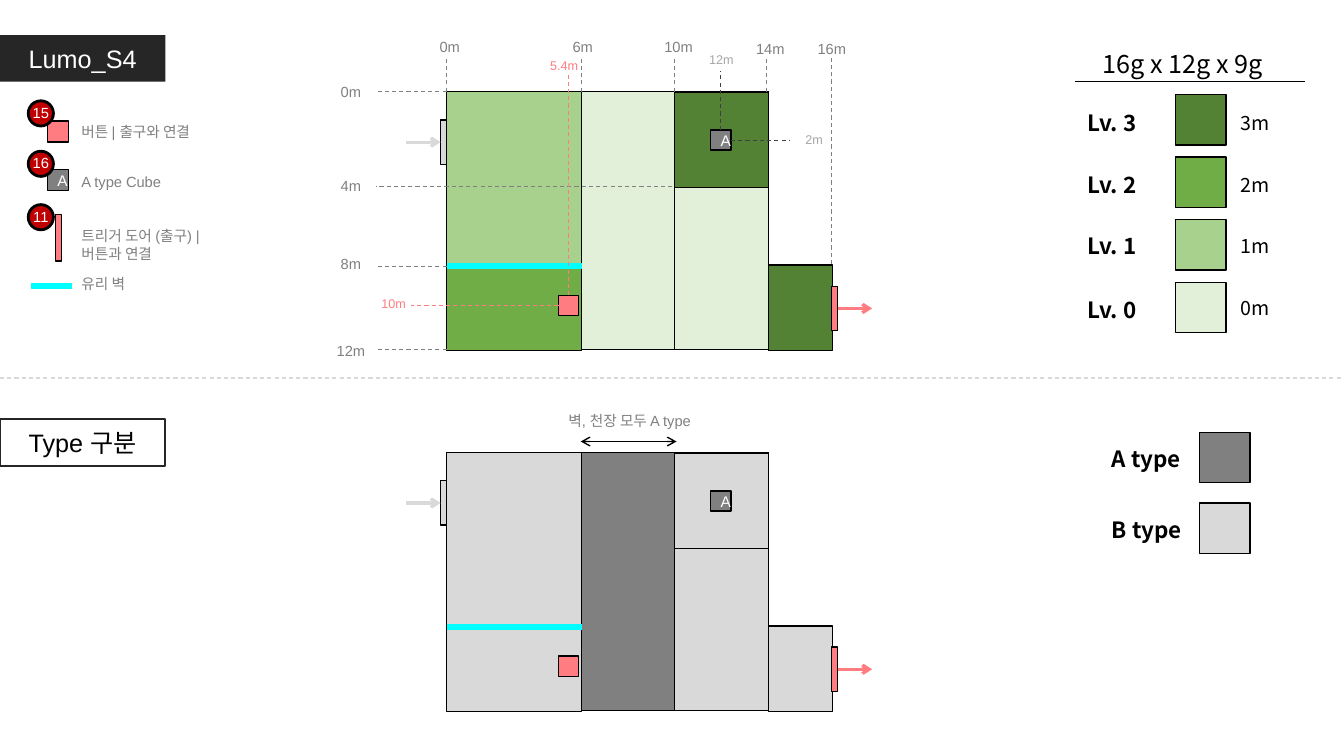
from lxml import etree
from pptx import Presentation
from pptx.dml.color import RGBColor
from pptx.enum.dml import MSO_LINE
from pptx.enum.shapes import MSO_CONNECTOR, MSO_SHAPE
from pptx.enum.text import MSO_ANCHOR, MSO_AUTO_SIZE, PP_ALIGN
from pptx.oxml.ns import qn
from pptx.util import Emu, Pt

RECT, OVAL = MSO_SHAPE.RECTANGLE, MSO_SHAPE.OVAL
STRAIGHT, DASH = MSO_CONNECTOR.STRAIGHT, MSO_LINE.DASH
LEFT, CENTER = PP_ALIGN.LEFT, PP_ALIGN.CENTER
TOP, MIDDLE = MSO_ANCHOR.TOP, MSO_ANCHOR.MIDDLE
FIT = MSO_AUTO_SIZE.SHAPE_TO_FIT_TEXT
SIDE_TOP, SIDE_LEFT, SIDE_RIGHT = 0, 1, 3

# Content: colours and text formats
BLACK, WHITE, INK, GRAY, PALE = "000000", "FFFFFF", "262626", "808080", "D9D9D9"
PINK, CYAN, RED, SILVER, DARK = "FF7C80", "00FFFF", "C00000", "A6A6A6", "404040"
LV0, LV1, LV2, LV3 = "E2F0D9", "A9D18E", "70AD47", "548235"
KOREAN = "Noto Sans CJK KR"
FORMATS = {
    "title": {"size": Pt(18), "name": "Arial"},
    "scale": {"size": Pt(18), "name": KOREAN},
    "level": {"size": Pt(16), "name": KOREAN, "bold": True},
    "height": {"size": Pt(14), "name": KOREAN},
    "cube": {"size": Pt(11), "name": "Arial"},
    "label": {"size": Pt(10.5), "name": "Arial"},
    "detail": {"size": Pt(9), "name": "Arial"},
}

# Content: height levels (name, height, colour, name top, height top)
LEVELS = [("Lv. 3", "3m", LV3, 103, 105), ("Lv. 2", "2m", LV2, 165, 167),
          ("Lv. 1", "1m", LV1, 225, 227), ("Lv. 0", "0m", LV0, 289, 289)]
TYPES = [("A type", GRAY), ("B type", PALE)]

# Content: rooms (box, height colour, type colour); both plans share them
ROOMS = [((577, 91, 185, 256), LV0, GRAY), ((669, 91, 93, 256), LV0, PALE),
         ((443, 91, 134, 256), LV1, PALE), ((443, 263, 134, 85), LV2, PALE),
         ((669, 92, 93, 94), LV3, PALE), ((762, 263, 64, 85), LV3, PALE)]
PLAN_GAP = 358

# Content: rulers (label, label left, label top, line x, line start y)
COLUMNS = [("0m", 397, 33, 443, 91), ("6m", 529, 33, 577, 91),
           ("10m", 624, 33, 669, 91), ("14m", 715, 35, 760, 91),
           ("16m", 776, 35, 825, 262)]
# (label, label top, line y, line start x)
ROWS = [("0m", 77, 91, 443), ("4m", 170, 185, 667),
        ("8m", 248, 264, 443), ("12m", 334, 347, 443)]
# (label, left, top, colour, alignment)
DETAILS = [("2m", 789, 126, SILVER, LEFT), ("12m", 674, 47, SILVER, CENTER),
           ("10m", 349, 289, PINK, CENTER), ("5.4m", 518, 52, PINK, CENTER)]

# Content: legend (text, text box, symbol box, symbol colour, symbol letter)
LEGEND = [("버튼 | 출구와 연결", (71, 117, 145, 28), (47, 120, 21, 21), PINK, None),
          ("A type Cube", (71, 167, 145, 28), (47, 168, 21, 21), GRAY, "A"),
          ("트리거 도어 (출구) | 버튼과 연결", (71, 220, 158, 45), (55, 213, 6, 46), PINK, None)]
BADGES = [("15", 100), ("16", 150), ("11", 203)]

PX = 9144  # 100 px to the inch


def px(*lengths):
    return [Emu(length * PX) for length in lengths]


def color(hex_value):
    return RGBColor.from_string(hex_value)


def write(shape, words, kind, ink, align=CENTER, **frame_values):
    frame = shape.text_frame
    for name, value in frame_values.items():
        setattr(frame, name, value)
    paragraph = frame.paragraphs[0]
    paragraph.alignment = align
    run = paragraph.add_run()
    run.text = words
    for name, value in FORMATS[kind].items():
        setattr(run.font, name, value)
    run.font.color.rgb = color(ink)
    latin = run.font._element.find(qn("a:latin"))
    east_asian = etree.Element(qn("a:ea"), typeface=KOREAN)
    latin.addnext(east_asian)


def add_block(parent, box, fill, edge=BLACK, weight=1, preset=RECT):
    block = parent.add_shape(preset, *px(*box))
    block.shadow.inherit = False
    block.fill.solid()
    block.fill.fore_color.rgb = color(fill)
    if edge:
        block.line.color.rgb = color(edge)
        block.line.width = Pt(weight)
    else:
        block.line.fill.background()
    return block


def add_label(parent, box, words, kind, ink=BLACK, align=LEFT, wrap=True):
    label = parent.add_textbox(*px(*box))
    write(label, words, kind, ink, align,
          word_wrap=wrap, auto_size=FIT, vertical_anchor=TOP)


def add_line(start, end, ink, weight=0.75, dash=None, heads=(), begin=None, finish=None):
    line = shapes.add_connector(STRAIGHT, *px(*start, *end))
    line.line.color.rgb = color(ink)
    line.line.width = Pt(weight)
    if dash:
        line.line.dash_style = dash
    for head in heads:
        etree.SubElement(line.line._ln, qn("a:" + head), type="arrow")
    etree.SubElement(line._element.spPr, qn("a:effectLst"))
    if begin:
        line.begin_connect(*begin)
    if finish:
        line.end_connect(*finish)


def add_cube(box):
    cube = add_block(shapes, box, GRAY)
    write(cube, "A", "cube", WHITE, vertical_anchor=MIDDLE)
    return cube


def add_plan(dy, fills):
    """Draw rooms, doors, button, cube and glass wall; return button and cube."""
    for ((x, y, w, h), *_), fill in zip(ROOMS, fills):
        add_block(shapes, (x, y + dy, w, h), fill)
    entrance = add_block(shapes, (437, 119 + dy, 6, 44), PALE)
    add_line((403, 141 + dy), (437, 141 + dy), PALE, 2.25,
             heads=["tailEnd"], finish=(entrance, SIDE_LEFT))
    exit_door = add_block(shapes, (825, 284 + dy, 6, 44), PINK)
    add_line((831, 306 + dy), (865, 306 + dy), PINK, 2.25,
             heads=["tailEnd"], begin=(exit_door, SIDE_RIGHT))
    button = add_block(shapes, (554, 293 + dy, 20, 20), PINK)
    cube = add_cube((705, 129 + dy, 20, 20))
    add_line((443, 264 + dy), (577, 264 + dy), CYAN, 4.5)
    return button, cube


deck = Presentation()
deck.slide_width, deck.slide_height = px(1333, 750)
shapes = deck.slides.add_slide(deck.slide_layouts[6]).shapes

# Section titles and divider
for words, top, fill, edge, ink in [("Lumo_S4", 35, INK, None, WHITE),
                                    ("Type 구분", 416, WHITE, INK, BLACK)]:
    title = add_block(shapes, (0, top, 164, 46), fill, edge, 1.5)
    write(title, words, "title", ink, vertical_anchor=MIDDLE)
add_line((0, 375), (1333, 375), PALE, dash=DASH)

# Height scale
add_line((1066, 81), (1294, 81), BLACK, 1)
add_label(shapes, (1069, 43, 208, 40), "16g x 12g x 9g", "scale", align=CENTER)
for i, (level, height, fill, level_top, height_top) in enumerate(LEVELS):
    add_block(shapes, (1166, 94 + 62 * i, 50, 50), fill)
    add_label(shapes, (1221, height_top, 71, 33), height, "height")
    add_label(shapes, (1069, level_top, 107, 37), level, "level")

# Type scale
type_scale = shapes.add_group_shape().shapes
for i, (words, fill) in enumerate(TYPES):
    add_block(type_scale, (1190, 429 + 70 * i, 50, 50), fill)
    add_label(type_scale, (1093, 437 + 70 * i, 107, 37), words, "level")

# Height plan with its rulers
button, cube = add_plan(0, [height_fill for _, height_fill, _ in ROOMS])
for words, left, top, x, y in COLUMNS:
    add_label(shapes, (left, top, 98, 28), words, "label", GRAY, CENTER)
    add_line((x, y), (x, 57), GRAY, dash=DASH)
for words, top, y, x in ROWS:
    add_label(shapes, (299, top, 98, 28), words, "label", GRAY, CENTER)
    add_line((x, y), (373, y), GRAY, dash=DASH)

# Cube and button positions
for start, end, ink, joint in [((715, 129), (715, 70), DARK, (cube, SIDE_TOP)),
                               ((725, 139), (784, 139), DARK, (cube, SIDE_RIGHT)),
                               ((564, 293), (564, 72), PINK, (button, SIDE_TOP)),
                               ((554, 303), (408, 303), PINK, (button, SIDE_LEFT))]:
    add_line(start, end, ink, dash=DASH, begin=joint)
for words, left, top, ink, align in DETAILS:
    add_label(shapes, (left, top, 83, 25), words, "detail", ink, align)

# Type plan with the width of its A type part
add_plan(PLAN_GAP, [type_fill for *_, type_fill in ROOMS])
add_line((576, 438), (671, 438), BLACK, 1, heads=["headEnd", "tailEnd"])
add_label(shapes, (536, 404, 177, 28), "벽, 천장 모두 A type", "label", GRAY, CENTER)

# Legend with numbered badges
for (words, text_box, symbol_box, fill, letter), (number, top) in zip(LEGEND, BADGES):
    add_label(shapes, text_box, words, "label", GRAY)
    if letter:
        add_cube(symbol_box)
    else:
        add_block(shapes, symbol_box, fill)
    badge = shapes.add_group_shape().shapes
    add_block(badge, (28, top, 25, 25), RED, weight=2, preset=OVAL)
    add_label(badge, (22, top - 2, 37, 28), number, "label", WHITE, CENTER, wrap=False)
add_line((31, 284), (71, 284), CYAN, 4.5)
add_label(shapes, (71, 268, 158, 28), "유리 벽", "label", GRAY)

deck.save("out.pptx")
